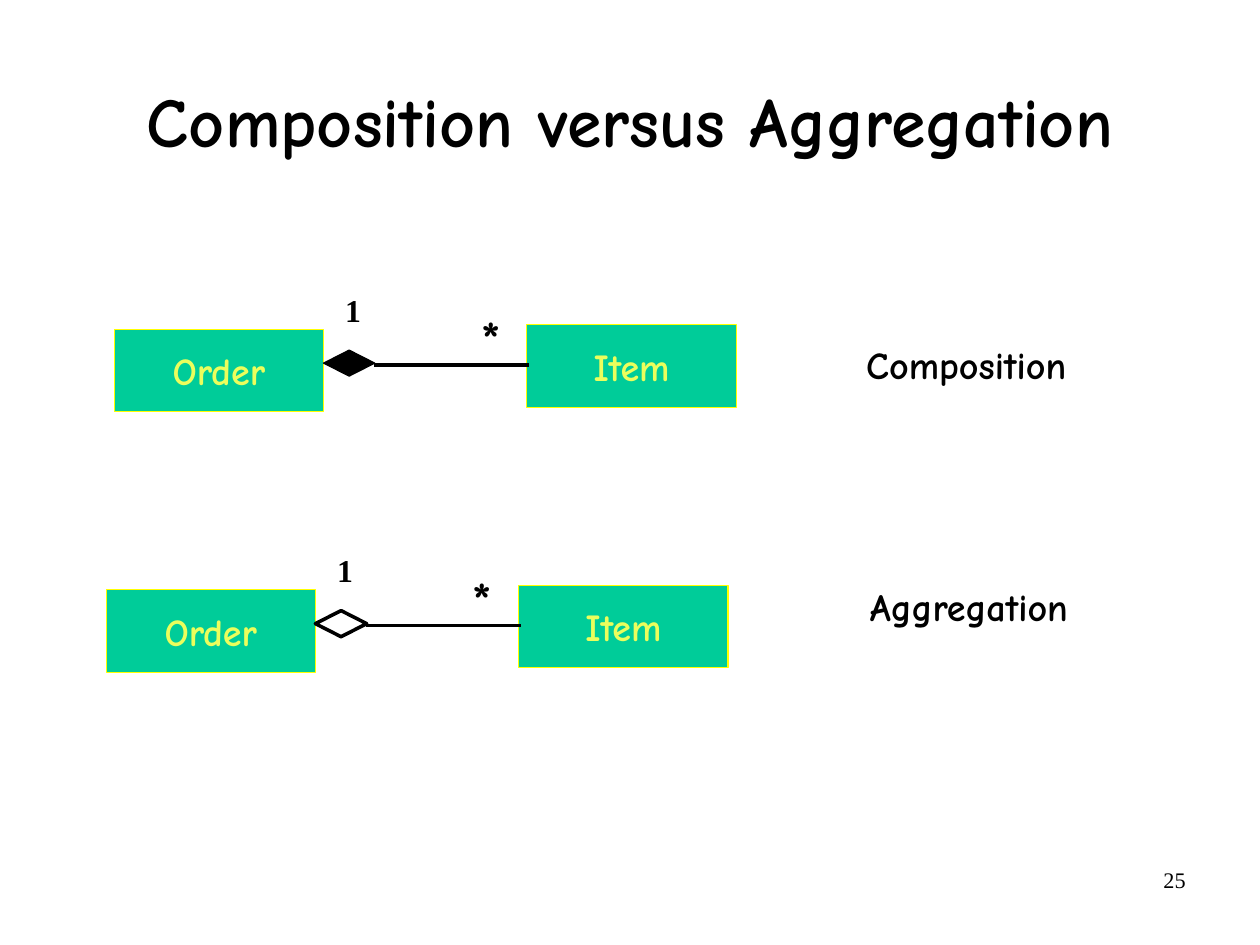
"""Build the slide that contrasts composition with aggregation."""
from pptx import Presentation
from pptx.dml.color import RGBColor
from pptx.enum.shapes import MSO_CONNECTOR as Connector, MSO_SHAPE as Shape
from pptx.enum.text import MSO_ANCHOR as Anchor, MSO_AUTO_SIZE as AutoSize, PP_ALIGN as Align
from pptx.oxml.ns import qn
from pptx.util import Cm, Pt
from lxml.etree import SubElement

TITLE = "Composition versus Aggregation"
PAGE_NUMBER = "25"
COLORS = {
    "black": "000000",
    "white": "FFFFFF",
    "class_fill": "00CC99",
    "class_line": "FFFF00",
    "class_text": "EBFE5C",
}
COMIC, TIMES = "Comic Neue", "Times New Roman"

RELATIONS = [
    {"origin": (2.54, 7.32), "diamond": "black", "outline": 0.75,
     "label": "Composition", "label_area": (19, 7.47, 6.7, 1.27)},
    {"origin": (2.36, 13.11), "diamond": "white", "outline": 2.25,
     "label": "Aggregation", "label_area": (19.08, 12.85, 7.42, 1.27)},
]
CLASSES = [("Order", 0, 0), ("Item", 9.17, -0.1)]
CLASS_SIZE = (4.65, 1.83)
DIAMOND_AREA = (4.65, 0.46, 1.14, 0.58)
LINK_START, LINK_END, LINK_Y = 5.77, 9.22, 0.79
MULTIPLICITIES = [
    ("1", (4.88, -0.99, 0.79, 1.12), 20, TIMES),
    ("*", (7.9, -0.62, 0.79, 1.63), 32, COMIC),
]


def color(name):
    return RGBColor.from_string(COLORS[name])


def write(shape, text, size, font=COMIC, bold=True, ink="black", align=Align.LEFT):
    paragraph = shape.text_frame.paragraphs[0]
    paragraph.text = text
    paragraph.alignment = align
    paragraph.font.size = Pt(size)
    paragraph.font.name = font
    paragraph.font.bold = bold
    paragraph.font.color.rgb = color(ink)
    return paragraph


def add_text(slide, area, text, size, **style):
    box = slide.shapes.add_textbox(*map(Cm, area))
    box.text_frame.word_wrap = True
    write(box, text, size, **style)


def add_figure(slide, kind, area, fill, line, width):
    figure = slide.shapes.add_shape(kind, *map(Cm, area))
    figure.shadow.inherit = False
    figure.fill.solid()
    figure.fill.fore_color.rgb = color(fill)
    figure.line.color.rgb = color(line)
    figure.line.width = Pt(width)
    return figure


def add_link(slide, start, end, y):
    link = slide.shapes.add_connector(Connector.STRAIGHT, Cm(start), Cm(y), Cm(end), Cm(y))
    link.line.color.rgb = color("black")
    link.line.width = Pt(2.25)
    SubElement(link._element.spPr, qn("a:effectLst"))


def add_relation(slide, relation):
    left, top = relation["origin"]

    def place(x, y, width, height):
        return left + x, top + y, width, height

    for name, x, y in CLASSES:
        box = add_figure(slide, Shape.RECTANGLE, place(x, y, *CLASS_SIZE),
                         "class_fill", "class_line", 0.75)
        box.text_frame.word_wrap = False
        box.text_frame.vertical_anchor = Anchor.MIDDLE
        write(box, name, 24, ink="class_text", align=Align.CENTER)
    add_figure(slide, Shape.DIAMOND, place(*DIAMOND_AREA),
               relation["diamond"], "black", relation["outline"])
    add_link(slide, left + LINK_START, left + LINK_END, top + LINK_Y)
    for text, area, size, font in MULTIPLICITIES:
        add_text(slide, place(*area), text, size, font=font)
    add_text(slide, relation["label_area"], relation["label"], 24)


def add_title(slide):
    title = slide.shapes.title
    title.left, title.top, title.width, title.height = map(Cm, (2.06, 0.99, 23.9, 3.51))
    frame = title.text_frame
    frame.margin_left = frame.margin_right = frame.margin_top = frame.margin_bottom = 0
    frame.vertical_anchor = Anchor.MIDDLE
    frame.auto_size = AutoSize.NONE
    write(title, TITLE, 44, align=Align.CENTER).line_spacing = 0.94


def main():
    presentation = Presentation()
    presentation.slide_width, presentation.slide_height = Cm(28), Cm(21)
    slide = presentation.slides.add_slide(presentation.slide_layouts[5])
    add_title(slide)
    for relation in RELATIONS:
        add_relation(slide, relation)
    add_text(slide, (20.07, 19.13, 6.53, 1.45), PAGE_NUMBER, 14,
             font=TIMES, bold=False, align=Align.RIGHT)
    presentation.save("out.pptx")


if __name__ == "__main__":
    main()
